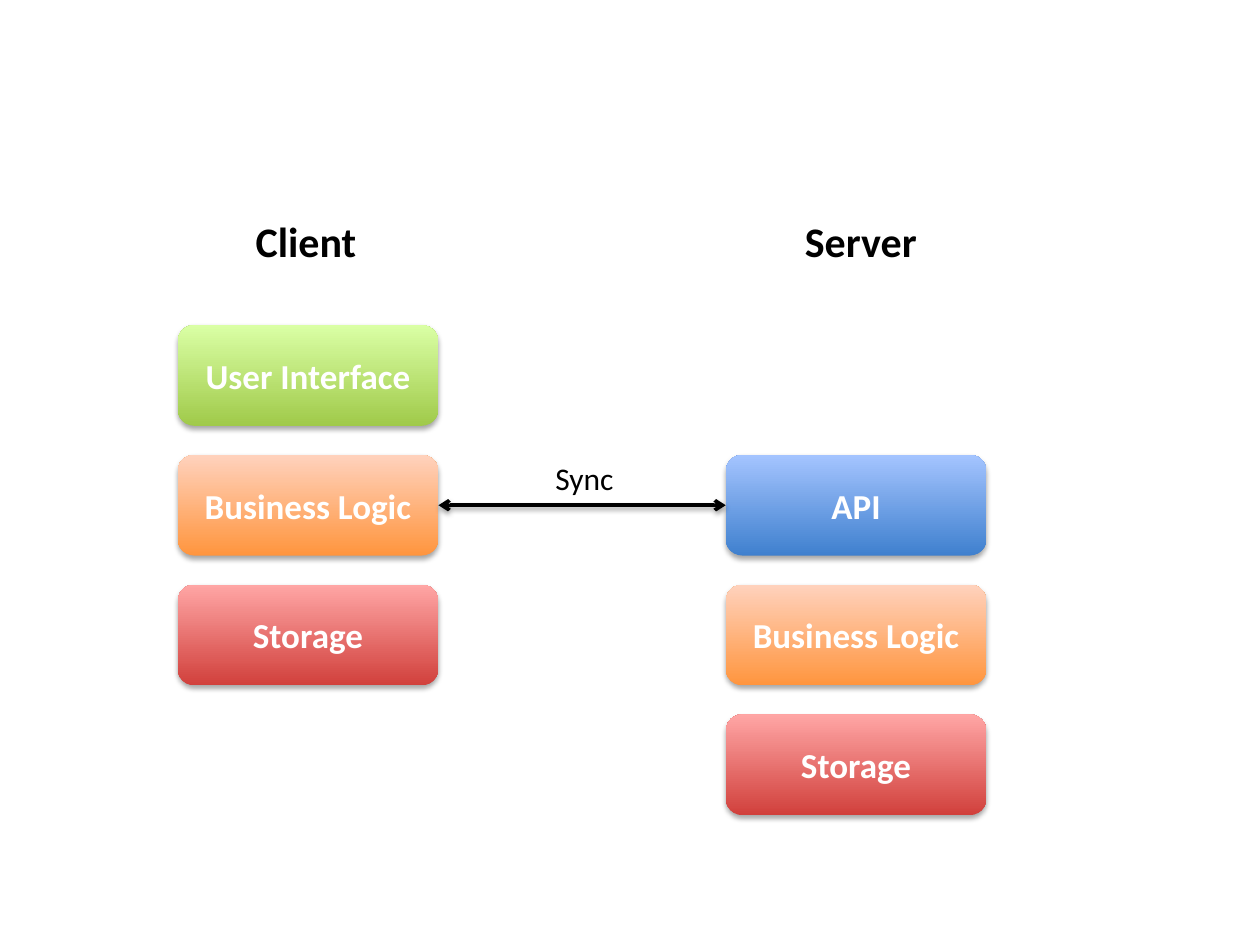
import pptx
import pptx.util
import pptx.dml.color
import pptx.enum.shapes
import pptx.enum.text
import pptx.oxml
import pptx.oxml.ns
from lxml import etree

HUES = {
    "green": ("A0CA4A", "DAFFA5"),
    "orange": ("FF953E", "FFD2BD"),
    "red": ("D1403C", "FFA6A5"),
    "blue": ("3F80CE", "A4C4FF"),
    "white": "FFFFFF",
    "black": "000000",
}
STACKS = [
    (1.41, 0, [("User Interface", "green"), ("Business Logic", "orange"), ("Storage", "red")]),
    (5.76, 1, [("API", "blue"), ("Business Logic", "orange"), ("Storage", "red")]),
]
LABELS = [
    ("Sync", 4.31, 3.59, 0.67, 0.4, 18, False),
    ("Client", 1.93, 1.66, 1.01, 0.5, 24, True),
    ("Server", 6.29, 1.66, 1.1, 0.5, 24, True),
]
TOP, STEP, WIDE, HIGH = 2.58, 1.03, 2.07, 0.8

Inches, Pt = pptx.util.Inches, pptx.util.Pt
qn = pptx.oxml.ns.qn


def rgb(hue):
    return pptx.dml.color.RGBColor.from_string(hue)


def write(frame, text, size, bold, hue):
    para = frame.paragraphs[0]
    para.text = text
    font = para.font
    font.name, font.size, font.bold = "Calibri", Pt(size), bold
    font.color.rgb = rgb(HUES[hue])
    return para


def shade(props, drop, alpha):
    list_ = props.find(qn("a:effectLst"))
    if list_ is None:
        list_ = etree.SubElement(props, qn("a:effectLst"))
    cast = etree.SubElement(list_, qn("a:outerShdw"), blurRad=str(Pt(3.1)),
                            dist=str(Pt(drop)), dir="5400000", rotWithShape="0")
    tint = etree.SubElement(cast, qn("a:srgbClr"), val=HUES["black"])
    etree.SubElement(tint, qn("a:alpha"), val=str(alpha * 1000))


def add_box(slide, text, hue, left, top):
    box = slide.shapes.add_shape(pptx.enum.shapes.MSO_SHAPE.ROUNDED_RECTANGLE,
                                 Inches(left), Inches(top), Inches(WIDE), Inches(HIGH))
    box.fill.gradient()
    box.fill.gradient_angle = 90
    for stop, tone in zip(box.fill.gradient_stops, HUES[hue]):
        stop.color.rgb = rgb(tone)
    box.line.fill.background()
    box.shadow.inherit = False
    shade(box._element.spPr, 1.8, 35)
    box.text_frame.vertical_anchor = pptx.enum.text.MSO_ANCHOR.MIDDLE
    para = write(box.text_frame, text, 20, True, "white")
    para.alignment = pptx.enum.text.PP_ALIGN.CENTER
    return box


def add_label(slide, text, left, top, wide, high, size, bold):
    frame = slide.shapes.add_textbox(*map(Inches, (left, top, wide, high))).text_frame
    frame.word_wrap = False
    frame.auto_size = pptx.enum.text.MSO_AUTO_SIZE.SHAPE_TO_FIT_TEXT
    write(frame, text, size, bold, "black")


def add_sync(slide, start, end):
    link = slide.shapes.add_connector(pptx.enum.shapes.MSO_CONNECTOR.STRAIGHT, 0, 0, 0, 0)
    link.begin_connect(start, 3)
    link.end_connect(end, 1)
    link.line.width = Pt(2)
    link.line.color.rgb = rgb(HUES["black"])
    for tip in ("a:headEnd", "a:tailEnd"):
        etree.SubElement(link.line._get_or_add_ln(), qn(tip), type="arrow")
    shade(link._element.spPr, 1.6, 38)


def main():
    deck = pptx.Presentation()
    deck.slide_width, deck.slide_height = Inches(10), Inches(7.5)
    slide = deck.slides.add_slide(deck.slide_layouts[6])
    grid = {}
    for left, first, parts in STACKS:
        for row, (text, hue) in enumerate(parts, first):
            grid[left, row] = add_box(slide, text, hue, left, TOP + row * STEP)
    for label in LABELS:
        add_label(slide, *label)
    add_sync(slide, *(grid[stack[0], 1] for stack in STACKS))
    deck.save("out.pptx")


if __name__ == "__main__":
    main()
